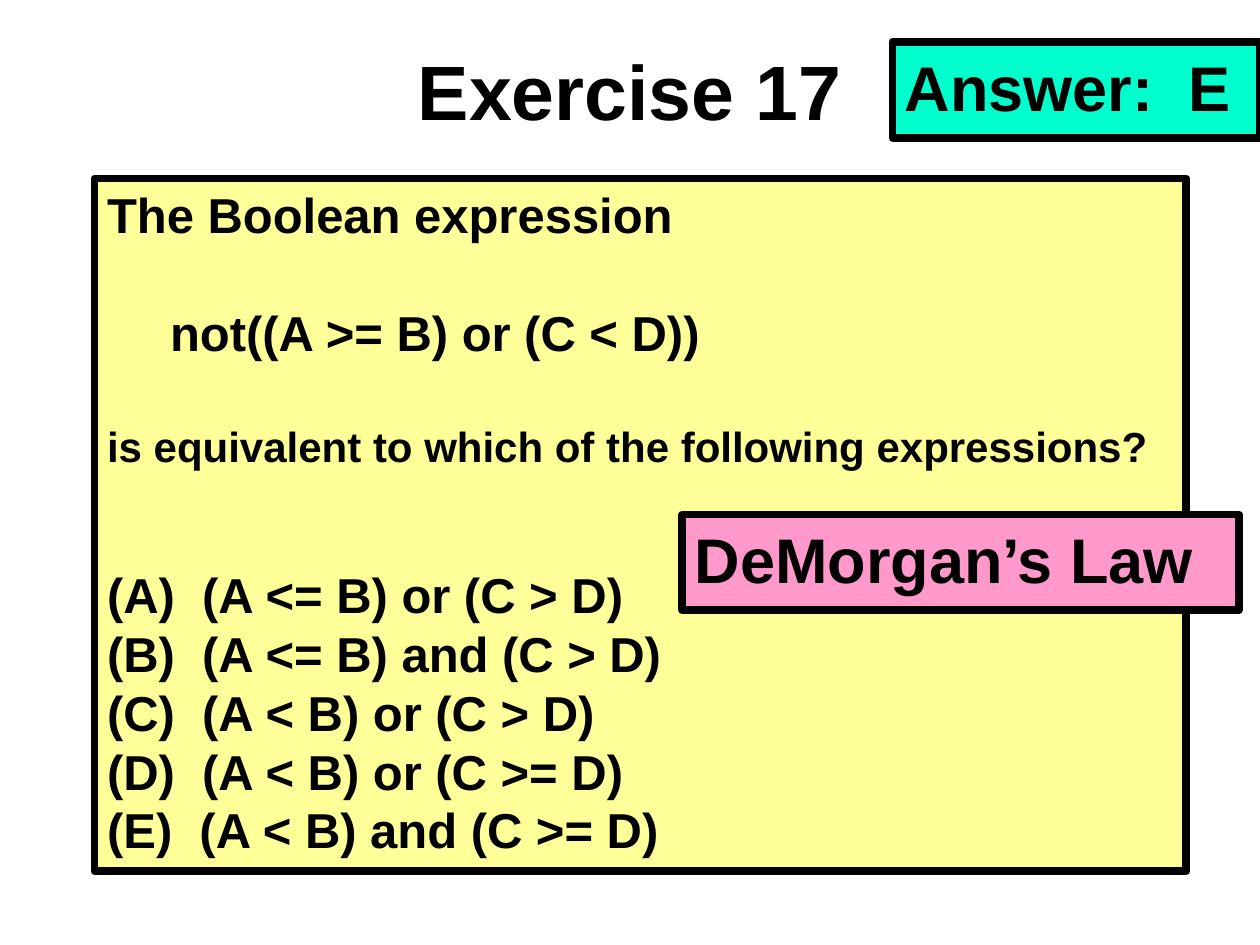
from dataclasses import dataclass

from pptx import Presentation
from pptx import util as u
from pptx.dml.color import RGBColor
from pptx.enum import shapes, text
from pptx.oxml import ns, xmlchemy


@dataclass(frozen=True)
class Theme:
    font: str = "Arial"
    ink: RGBColor = RGBColor(0, 0, 0)
    question_fill: RGBColor = RGBColor(0xFF, 0xFF, 0x99)
    answer_fill: RGBColor = RGBColor(0x00, 0xFF, 0xCC)
    reason_fill: RGBColor = RGBColor(0xFF, 0x99, 0xCC)
    title_size: int = 44
    callout_size: int = 36
    question_size: int = 28
    prompt_size: int = 24
    border: float = 4.5


theme = Theme()


def set_box(box, left, top, width, height, fill=None):
    """Place a box and, where a fill is given, paint and frame it."""
    box.left, box.top = u.Pt(left), u.Pt(top)
    box.width, box.height = u.Pt(width), u.Pt(height)
    box.text_frame.word_wrap = True
    box.text_frame.auto_size = text.MSO_AUTO_SIZE.NONE
    if fill is not None:
        box.fill.solid()
        box.fill.fore_color.rgb = fill
        box.line.color.rgb = theme.ink
        box.line.width = u.Pt(theme.border)
        box.text_frame.vertical_anchor = text.MSO_ANCHOR.TOP


def set_text(paragraph, wording, size, align=text.PP_ALIGN.LEFT):
    paragraph.text = wording
    paragraph.alignment = align
    paragraph.font.name = theme.font
    paragraph.font.size = u.Pt(size)
    paragraph.font.bold = True
    paragraph.font.color.rgb = theme.ink


prs = Presentation()
prs.slide_width, prs.slide_height = u.Pt(720), u.Pt(540)
slide = prs.slides.add_slide(prs.slide_layouts[1])

# Title
title = slide.shapes.title
set_box(title, 0, 6, 720, 90)
title.text_frame.vertical_anchor = text.MSO_ANCHOR.MIDDLE
set_text(title.text_frame.paragraphs[0], "Exercise 17",
         theme.title_size, text.PP_ALIGN.CENTER)

# Question: wording, type size, space before
question = slide.placeholders[1]
set_box(question, 54, 102, 624, 396, theme.question_fill)
line_gap = 1.2 * theme.question_size
question_lines = [
    ("The Boolean expression", theme.question_size, 0),
    ("\tnot((A >= B) or (C < D))", theme.question_size, line_gap),
    ("is equivalent to which of the following expressions?", theme.prompt_size, line_gap),
]
choices = [
    "(A <= B) or (C > D)",
    "(A <= B) and (C > D)",
    "(A < B) or (C > D)",
    "(A < B) or (C >= D)",
    "(A < B) and (C >= D)",
]
for letter, choice in zip("ABCDE", choices):
    gap = 1.6 * line_gap if letter == "A" else 0
    question_lines.append((f"({letter})  {choice}", theme.question_size, gap))

for index, (wording, size, gap) in enumerate(question_lines):
    frame = question.text_frame
    paragraph = frame.add_paragraph() if index else frame.paragraphs[0]
    set_text(paragraph, wording, size, text.PP_ALIGN.JUSTIFY)
    paragraph.space_before = u.Pt(round(gap, 1))
    # No bullet and no hanging indent
    properties = paragraph._p.get_or_add_pPr()
    properties.set("marL", "0")
    properties.set("indent", "0")
    properties.append(xmlchemy.OxmlElement("a:buNone"))
    defaults = properties.find(ns.qn("a:defRPr"))
    if defaults is not None:
        properties.append(defaults)
paragraph.alignment = text.PP_ALIGN.LEFT

# Callouts with the answer and its reason
callouts = [
    ("Answer:  E", 510, 24, 210, theme.answer_fill),
    ("DeMorgan’s Law", 390, 294, 318, theme.reason_fill),
]
for wording, left, top, width, fill in callouts:
    callout = slide.shapes.add_shape(shapes.MSO_SHAPE.RECTANGLE, 0, 0, 0, 0)
    callout.shadow.inherit = False
    set_box(callout, left, top, width, 54.7, fill)
    set_text(callout.text_frame.paragraphs[0], wording, theme.callout_size)

prs.save("out.pptx")
